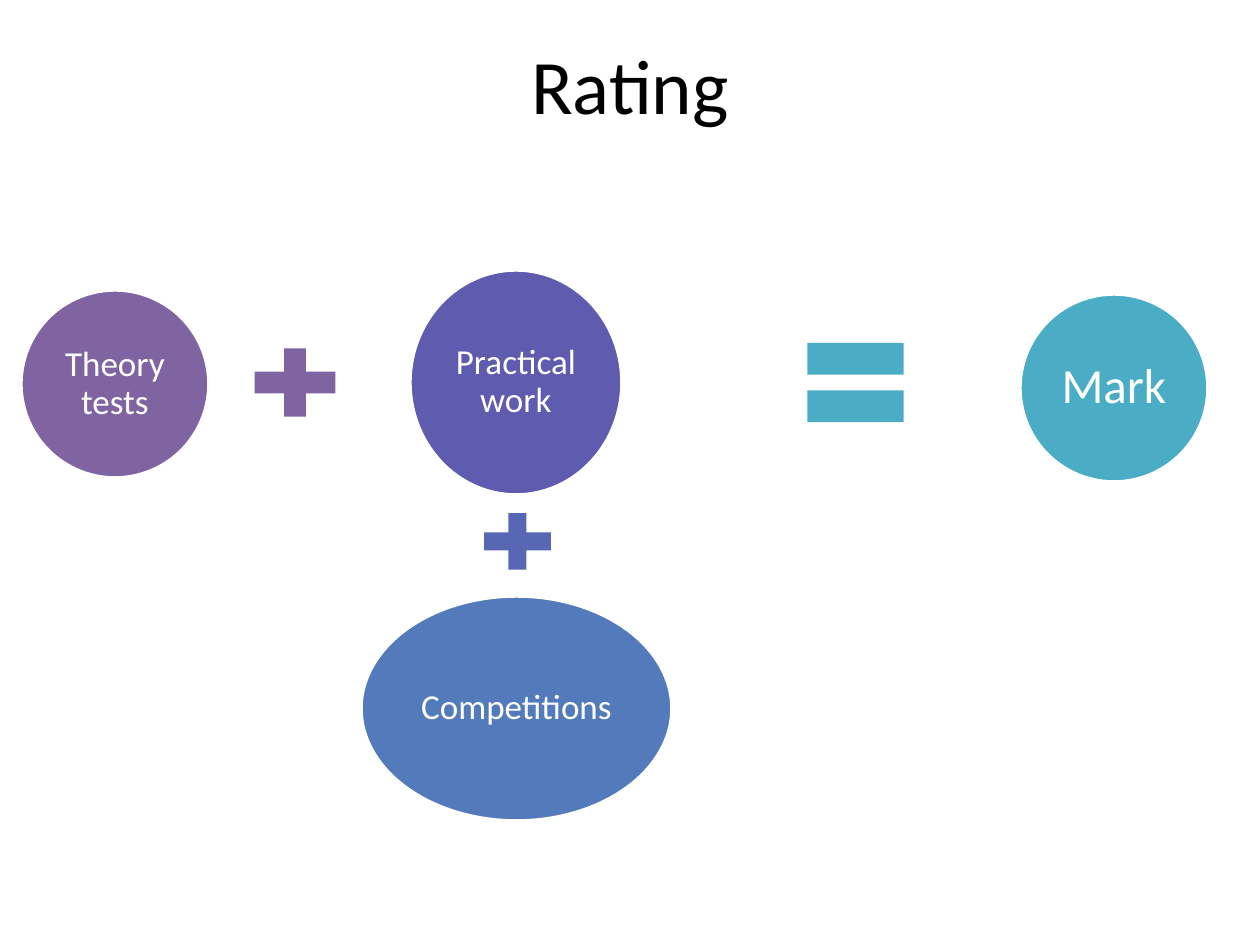
from pptx import Presentation
from pptx.dml.color import RGBColor
from pptx.enum.shapes import MSO_SHAPE
from pptx.enum.text import MSO_ANCHOR, PP_ALIGN
from pptx.util import Pt

OVAL = MSO_SHAPE.OVAL
PLUS = MSO_SHAPE.MATH_PLUS
EQUAL = MSO_SHAPE.MATH_EQUAL
MIDDLE = MSO_ANCHOR.MIDDLE
CENTER = PP_ALIGN.CENTER

EMU = 914400 / 126  # one px
FONT = "Calibri"
WHITE, BLACK = "FFFFFF", "000000"
PURPLE, VIOLET, INDIGO, BLUE, TEAL = (
    "8064A2", "5F5BAE", "5767B4", "537ABA", "4BACC6")

# Terms of the sum: text, box in px, fill, text size
TERMS = [
    ("Theory tests", (21, 290, 188, 188), PURPLE, 20),
    ("Practical work", (410, 270, 212, 225), VIOLET, 20),
    ("Competitions", (361, 596, 311, 225), BLUE, 20),
    ("Mark", (1020, 294, 188, 188), TEAL, 28),
]

# Signs between the terms: kind, box in px, fill
SIGNS = [
    (PLUS, (240, 336, 110, 93), PURPLE),
    (PLUS, (472, 503, 91, 77), INDIGO),
    (EQUAL, (790, 315, 131, 135), TEAL),
]


def px(n):
    return round(n * EMU)


def color(code):
    return RGBColor.from_string(code)


def set_all(item, values):
    for name, value in values.items():
        setattr(item, name, value)


def write(shape, text, size, code, inset, space):
    frame = shape.text_frame
    set_all(frame, {
        "text": text, "word_wrap": True, "vertical_anchor": MIDDLE,
        "margin_left": px(inset), "margin_right": px(inset),
        "margin_top": px(inset), "margin_bottom": px(inset),
    })
    para = frame.paragraphs[0]
    set_all(para, {"alignment": CENTER, "line_spacing": space})
    font = para.runs[0].font
    set_all(font, {"name": FONT, "size": Pt(size)})
    font.color.rgb = color(code)


def add_shape(slide, kind, box, fill):
    shape = slide.shapes.add_shape(kind, *map(px, box))
    shape.shadow.inherit = False
    shape.fill.solid()
    shape.fill.fore_color.rgb = color(fill)
    shape.line.fill.background()
    return shape


def add_term(slide, text, box, fill, size):
    oval = add_shape(slide, OVAL, box, fill)
    oval.line.color.rgb = color(WHITE)
    oval.line.width = Pt(2)
    write(oval, text, size, WHITE, 4, 0.9)


def add_title(slide, text):
    title = slide.shapes.title
    set_all(title, {"left": px(63), "top": px(5),
                    "width": px(1134), "height": px(158)})
    write(title, text, 44, BLACK, 6, 1.0)


def main():
    deck = Presentation()
    set_all(deck, {"slide_width": px(1260), "slide_height": px(945)})
    slide = deck.slides.add_slide(deck.slide_layouts[5])
    add_title(slide, "Rating")
    for term in TERMS:
        add_term(slide, *term)
    for sign in SIGNS:
        add_shape(slide, *sign)
    deck.save("out.pptx")


if __name__ == "__main__":
    main()
